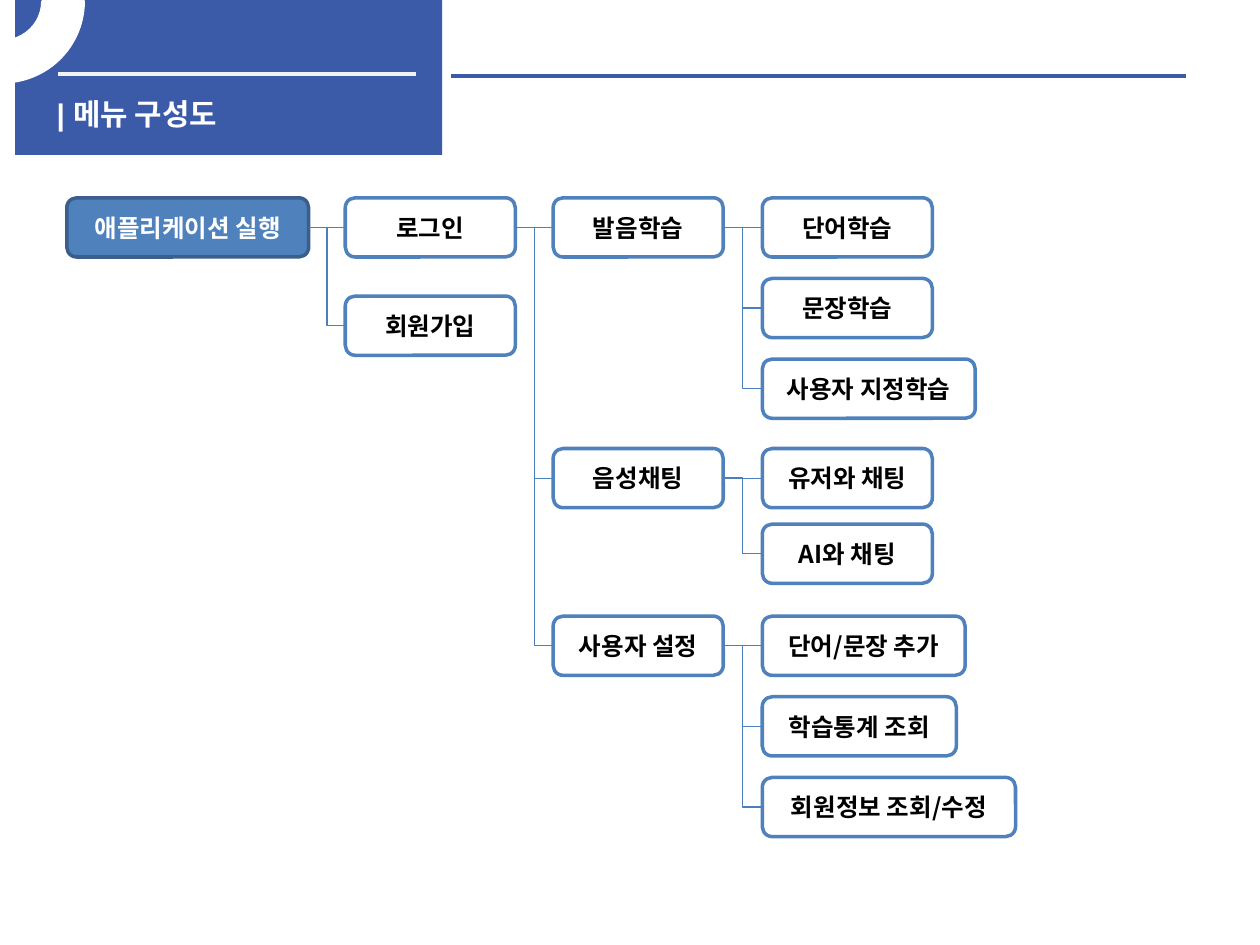
from lxml.etree import SubElement
from pptx import Presentation
from pptx.dml.color import RGBColor
from pptx.enum.shapes import MSO_CONNECTOR as Link, MSO_SHAPE as Shape
from pptx.enum.text import MSO_ANCHOR as Anchor, PP_ALIGN as Align
from pptx.oxml.ns import qn
from pptx.util import Inches, Pt

NAVY, BLUE, DARK_BLUE, LINK_BLUE = "3B5AA8", "4F81BD", "3A5F8C", "4B7EBC"
WHITE, PALE, BLACK = "FFFFFF", "F2F2F2", "000000"
KOREAN = "Noto Sans CJK KR"
LEFT_SIDE, RIGHT_SIDE = 1, 3
LOGIN_LEFT, MENU_LEFT, ITEM_LEFT = 2.74, 4.39, 6.05
FIRST_TOP, BOX_WIDTH, BOX_HEIGHT = 1.57, 1.35, 0.47
WIDE_STEP, TIGHT_STEP = 0.64, 0.6

MENUS = [
    ("발음학습", FIRST_TOP, WIDE_STEP,
     [("단어학습", BOX_WIDTH), ("문장학습", BOX_WIDTH), ("사용자 지정학습", 1.69)]),
    ("음성채팅", 3.56, TIGHT_STEP,
     [("유저와 채팅", BOX_WIDTH), ("AI와 채팅", BOX_WIDTH)]),
    ("사용자 설정", 4.89, WIDE_STEP,
     [("단어/문장 추가", 1.61), ("학습통계 조회", 1.54), ("회원정보 조회/수정", 2.01)]),
]


def color(value):
    return RGBColor.from_string(value)


class MenuSlide:
    def __init__(self, page):
        self.page = page

    def add_text(self, para, text, size, ink, font=KOREAN):
        span = para.add_run()
        span.text = text
        span.font.size = Pt(size)
        span.font.bold = True
        span.font.name = font
        span.font.color.rgb = color(ink)
        SubElement(span.font._element, qn("a:ea")).set("typeface", KOREAN)

    def title(self, text, left, top, width, height):
        box = self.page.shapes.title
        box.left, box.top = Inches(left), Inches(top)
        box.width, box.height = Inches(width), Inches(height)
        frame = box.text_frame
        frame.vertical_anchor = Anchor.TOP
        frame.margin_top = frame.margin_bottom = 0
        para = frame.paragraphs[0]
        para.alignment = Align.LEFT
        self.add_text(para, text, 17, WHITE, "Arial")

    def shape(self, kind, left, top, width, height, fill, outline=None):
        box = self.page.shapes.add_shape(
            kind, Inches(left), Inches(top), Inches(width), Inches(height))
        box.shadow.inherit = False
        box.fill.solid()
        box.fill.fore_color.rgb = color(fill)
        if outline:
            box.line.color.rgb = color(outline)
            box.line.width = Pt(2)
        else:
            box.line.fill.background()
        return box

    def node(self, text, left, top, width=BOX_WIDTH, fill=WHITE, outline=BLUE, ink=BLACK):
        box = self.shape(Shape.ROUNDED_RECTANGLE, left, top, width, BOX_HEIGHT, fill, outline)
        frame = box.text_frame
        frame.word_wrap = False
        frame.vertical_anchor = Anchor.MIDDLE
        para = frame.paragraphs[0]
        para.alignment = Align.CENTER
        self.add_text(para, text, 14, ink)
        return box

    def line(self, start, end, y, ink, weight, kind=Link.STRAIGHT):
        line = self.page.shapes.add_connector(
            kind, Inches(start), Inches(y), Inches(end), Inches(y))
        line.line.color.rgb = color(ink)
        line.line.width = Pt(weight)
        SubElement(line._element.spPr, qn("a:effectLst"))
        return line

    def join(self, parent, child):
        kind = Link.STRAIGHT if parent.top == child.top else Link.ELBOW
        line = self.line(0, 1, 0, LINK_BLUE, 0.75, kind)
        line.begin_connect(parent, RIGHT_SIDE)
        line.end_connect(child, LEFT_SIDE)


def main():
    deck = Presentation()
    deck.slide_width, deck.slide_height = Inches(10), Inches(7.5)
    page = deck.slides.add_slide(deck.slide_layouts[5])
    slide = MenuSlide(page)

    banner = slide.shape(Shape.RECTANGLE, 0.12, 0, 3.39, 1.23, NAVY)
    page.shapes.title._element.addprevious(banner._element)
    slide.line(0.46, 3.3, 0.59, PALE, 2.25)
    slide.line(3.58, 9.41, 0.6, NAVY, 2.25)
    slide.title("| 메뉴 구성도", 0.35, 0.76, 3.23, 0.3)
    arc = slide.shape(Shape.BLOCK_ARC, -0.63, -0.63, 1.29, 1.28, WHITE, WHITE)
    arc.adjustments[0] = 0
    arc.adjustments[1] = 54.4
    arc.adjustments[2] = 0.25

    launch = slide.node("애플리케이션 실행", 0.53, FIRST_TOP, 1.92, BLUE, DARK_BLUE, WHITE)
    login = slide.node("로그인", LOGIN_LEFT, FIRST_TOP)
    signup = slide.node("회원가입", LOGIN_LEFT, 2.35)
    slide.join(launch, login)
    slide.join(launch, signup)

    for label, top, step, items in MENUS:
        menu = slide.node(label, MENU_LEFT, top)
        slide.join(login, menu)
        for row, (text, width) in enumerate(items):
            item = slide.node(text, ITEM_LEFT, top + row * step, width)
            slide.join(menu, item)

    deck.save("out.pptx")


if __name__ == "__main__":
    main()
